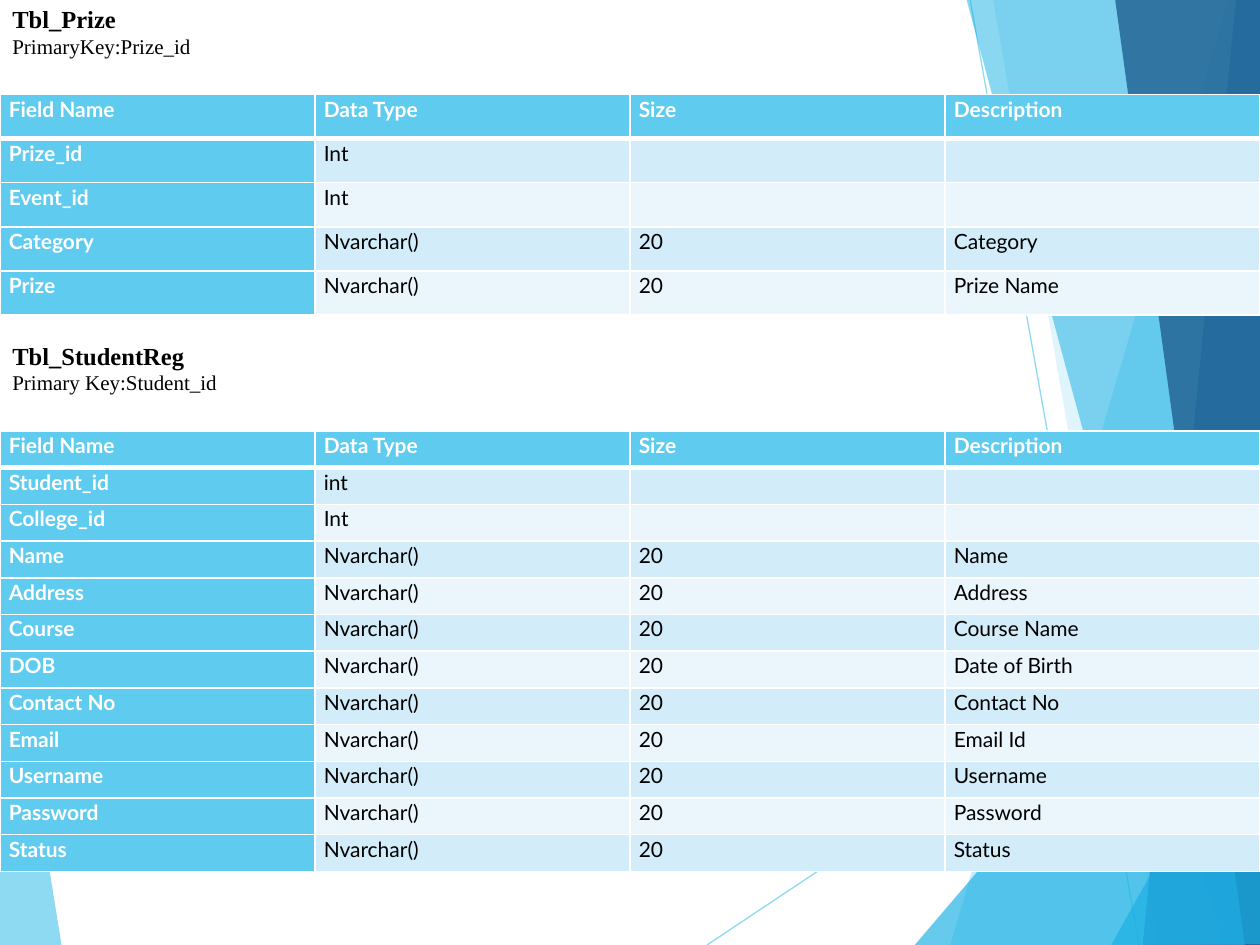
import lxml.etree
import pptx
import pptx.dml.color
import pptx.enum.shapes
import pptx.enum.text
import pptx.oxml
import pptx.oxml.ns
import pptx.util

Pt = pptx.util.Pt
RGB = pptx.dml.color.RGBColor
qn = pptx.oxml.ns.qn

SKY = RGB(0x5F, 0xCB, 0xEF)
CYAN = RGB(0x17, 0xB0, 0xE4)
BLUE = RGB(0x2E, 0x83, 0xC3)
NAVY = RGB(0x22, 0x62, 0x92)
PALE = RGB(0xD2, 0xEC, 0xF9)
FAINT = RGB(0xEA, 0xF6, 0xFC)
WHITE = RGB(0xFF, 0xFF, 0xFF)
BLACK = RGB(0, 0, 0)


def fade(shape, percent):
    """Set the opacity of every colour in the shape."""
    for color in shape._element.spPr.iter(qn("a:srgbClr")):
        alpha = lxml.etree.SubElement(color, qn("a:alpha"))
        alpha.set("val", str(percent * 1000))


def edge(cell, side, width):
    """Draw a white border on one side (L, R, T or B) of the cell."""
    props = cell._tc.get_or_add_tcPr()
    line = lxml.etree.SubElement(props, qn("a:ln" + side), w=str(Pt(width)))
    fill = lxml.etree.SubElement(line, qn("a:solidFill"))
    lxml.etree.SubElement(fill, qn("a:srgbClr"), val=str(WHITE))


deck = pptx.Presentation()
deck.slide_width = Pt(720)
deck.slide_height = Pt(540)
slide = deck.slides.add_slide(deck.slide_layouts[6])
shapes = slide.shapes

# Backdrop: two thin lines among see-through panes
panes = [
    (SKY, 70, [(-0.7, 316), (35.3, 540.7), (-0.7, 540)]),
    (SKY, 36, [(702, 0), (543, 540), (721.4, 540.7), (720.7, 0.7)]),
    (SKY, 20, [(567.4, -0.7), (661.7, 540), (720.7, 540), (720.7, -0.7)]),
    (CYAN, 66, [(522.7, 540), (720, 309), (720.7, 540)]),
    (CYAN, 50, [(552.2, -0.7), (698.4, 540), (720.7, 539.3), (720.7, -0.7)]),
    (BLUE, 70, [(706.3, -0.7), (653, 540), (720.7, 540), (720, -0.7)]),
    (NAVY, 82, [(637.2, -0.7), (711.4, 540), (721.4, 540), (720, -0.7)]),
    (CYAN, 66, [(635, 540), (721.4, 385.2), (721.4, 539.3)]),
]
rays = [(404, 540, 720.7, 329), (554.4, 0, 651, 540)]

for depth, (color, percent, points) in enumerate(panes):
    if depth == 1:
        for ends in rays:
            ray = shapes.add_connector(
                pptx.enum.shapes.MSO_CONNECTOR.STRAIGHT, *map(Pt, ends))
            ray.line.color.rgb = SKY
            ray.line.width = Pt(0.75)
            fade(ray, 70)
            lxml.etree.SubElement(ray._element.spPr, qn("a:effectLst"))
    corners = [(Pt(x), Pt(y)) for x, y in points]
    maker = shapes.build_freeform(*corners[0], scale=1.0)
    maker.add_line_segments(corners[1:], close=True)
    pane = maker.convert_to_shape()
    pane.shadow.inherit = False
    pane.fill.solid()
    pane.fill.fore_color.rgb = color
    pane.line.fill.background()
    fade(pane, percent)

# Tables, each under its title and key
HEAD = ("Field Name", "Data Type", "Size", "Description")
TEXT = ("Nvarchar()", "20")
prize = [
    ("Prize_id", "Int", "", ""),
    ("Event_id", "Int", "", ""),
    ("Category", *TEXT, "Category"),
    ("Prize", *TEXT, "Prize Name"),
]
student = [
    ("Student_id", "int", "", ""),
    ("College_id", "Int", "", ""),
    ("Name", *TEXT, "Name"),
    ("Address", *TEXT, "Address"),
    ("Course", *TEXT, "Course Name"),
    ("DOB", *TEXT, "Date of Birth"),
    ("Contact No", *TEXT, "Contact No"),
    ("Email", *TEXT, "Email Id"),
    ("Username", *TEXT, "Username"),
    ("Password", *TEXT, "Password"),
    ("Status", *TEXT, "Status"),
]
parts = [
    ("Tbl_Prize", "PrimaryKey:Prize_id", 0, 25.2, prize),
    ("Tbl_StudentReg", "Primary Key:Student_id", 192.24, 21, student),
]

for title, key, top, height, fields in parts:
    rows = [HEAD] + fields
    table = shapes.add_table(len(rows), 4, 0, Pt(top + 54), Pt(720),
                             Pt(height * len(rows))).table
    table.first_col = True
    for column in table.columns:
        column.width = Pt(180)
    for r, values in enumerate(rows):
        table.rows[r].height = Pt(height)
        for c, value in enumerate(values):
            cell = table.cell(r, c)
            cell.margin_left = cell.margin_right = Pt(5.04)
            cell.margin_top = cell.margin_bottom = 0
            for side in "LRTB":
                if r == 1 and side == "T":
                    continue
                edge(cell, side, 3 if r == 0 and side == "B" else 1)
            strong = r == 0 or c == 0
            cell.fill.solid()
            cell.fill.fore_color.rgb = SKY if strong else PALE if r % 2 else FAINT
            para = cell.text_frame.paragraphs[0]
            para.line_spacing = 1.07
            if not value:
                para._p.get_or_add_endParaRPr().set("sz", "1200")
                continue
            para.text = value
            para.font.name = "Lato"
            para.font.size = Pt(12)
            para.font.bold = strong
            para.font.color.rgb = WHITE if strong else BLACK

    box = shapes.add_textbox(0, Pt(top), Pt(720), Pt(36))
    frame = box.text_frame
    frame.word_wrap = True
    frame.vertical_anchor = pptx.enum.text.MSO_ANCHOR.MIDDLE
    frame.text = title + "\n" + key
    for para, size, bold in zip(frame.paragraphs, (14, 12), (True, False)):
        para.font.name = "Times New Roman"
        para.font.size = Pt(size)
        para.font.bold = bold
        para.font.color.rgb = BLACK

deck.save("out.pptx")
